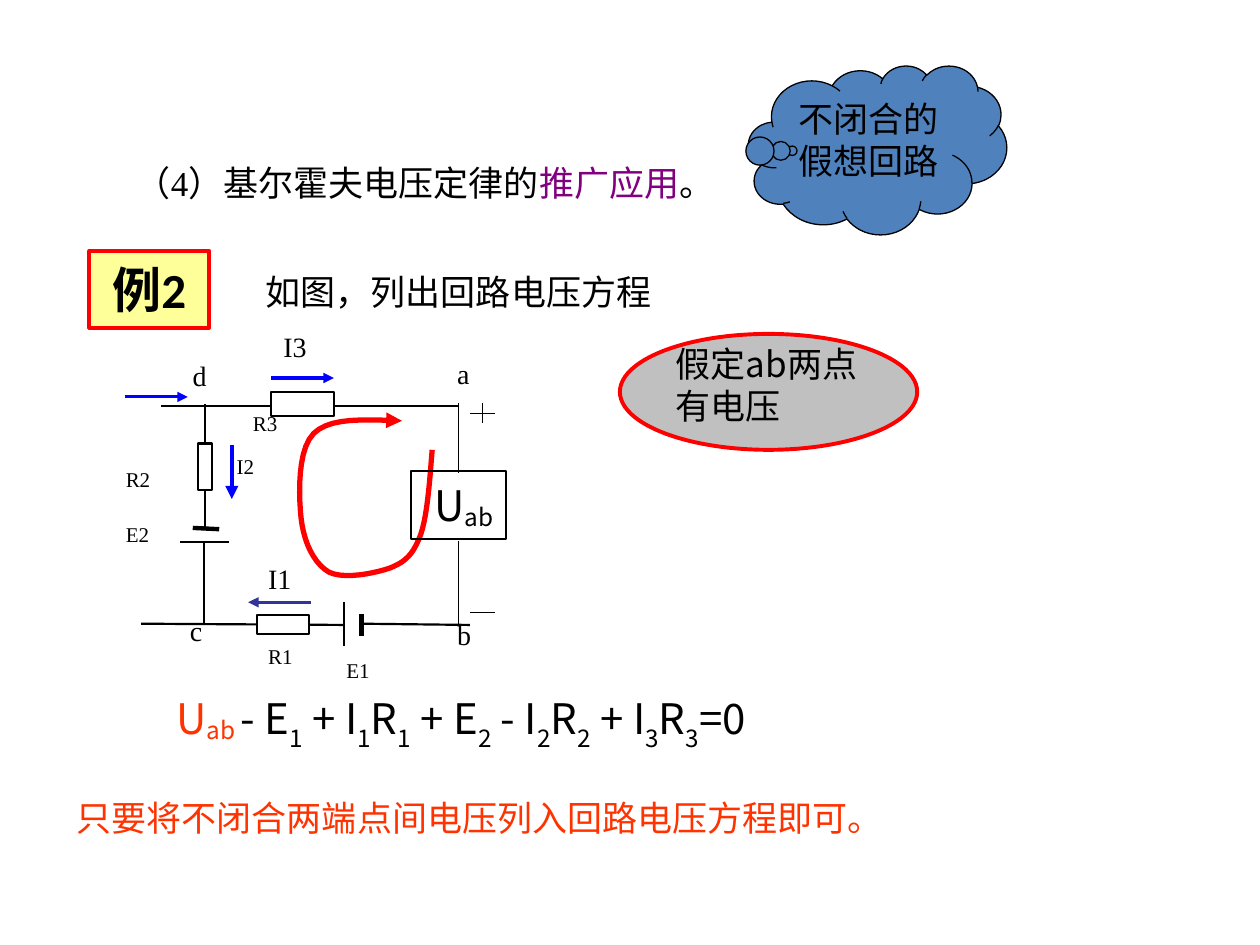
from dataclasses import dataclass

from lxml import etree
from pptx import Presentation
from pptx.dml.color import RGBColor
from pptx.enum import shapes, text
from pptx.oxml import ns
from pptx.util import Inches, Pt


@dataclass(frozen=True)
class Theme:
    black: str = "000000"
    white: str = "FFFFFF"
    red: str = "FF0000"
    orange: str = "FF3300"
    purple: str = "800080"
    blue: str = "0000FF"
    indigo: str = "333399"
    yellow: str = "FFFF99"
    cloud: str = "4F81BD"
    grey: str = "C0C0C0"
    serif: str = "Times New Roman"
    sans: str = "Noto Sans CJK SC"
    heading: str = "Calibri"
    badge: float = 28
    formula: float = 24
    body: float = 20
    node: float = 16
    component: float = 12
    thin: float = 0.75
    wire: float = 1.25
    arrow: float = 1.75
    thick: float = 2.5


T = Theme()
LEFT, CENTER = text.PP_ALIGN.LEFT, text.PP_ALIGN.CENTER
TOP, MIDDLE, BOTTOM = text.MSO_ANCHOR.TOP, text.MSO_ANCHOR.MIDDLE, text.MSO_ANCHOR.BOTTOM
SHAPE = shapes.MSO_SHAPE


def inches(values):
    return [Inches(v) for v in values]


def inside(box, item):
    """Move an item given relative to a box onto the slide."""
    return (box[0] + item[0], box[1] + item[1], *item[2:])


def write(shape, runs, size, font, align=LEFT, anchor=TOP, wrap=True, bold=False):
    """Fill a shape with one paragraph; each run is (words, colour, baseline %)."""
    frame = shape.text_frame
    layout = dict(word_wrap=wrap, vertical_anchor=anchor)
    for key, value in layout.items():
        setattr(frame, key, value)
    paragraph = frame.paragraphs[0]
    paragraph.alignment = align
    for words, colour, baseline in runs:
        run = paragraph.add_run()
        run.text = words
        for key, value in dict(size=Pt(size), name=font, bold=bold).items():
            setattr(run.font, key, value)
        run.font.color.rgb = RGBColor.from_string(colour)
        props = run._r.get_or_add_rPr()
        etree.SubElement(props, ns.qn("a:ea"), typeface=T.sans)
        if baseline:
            props.set("baseline", str(baseline * 1000))


def add_text(slide, box, runs, size, font, **layout):
    write(slide.shapes.add_textbox(*inches(box)), runs, size, font, **layout)


def paint(shape, fill, line, width):
    shape.shadow.inherit = False
    if fill:
        shape.fill.solid()
        shape.fill.fore_color.rgb = RGBColor.from_string(fill)
    else:
        shape.fill.background()
    shape.line.color.rgb = RGBColor.from_string(line)
    shape.line.width = Pt(width)


def add_block(slide, kind, box, fill, line, width):
    block = slide.shapes.add_shape(kind, *inches(box))
    paint(block, fill, line, width)
    return block


def point_arrow(shape):
    etree.SubElement(shape.line._get_or_add_ln(), ns.qn("a:tailEnd"), type="triangle")


def add_line(slide, box, ends, colour, width, arrow=False):
    start, end = inside(box, ends[:2]), inside(box, ends[2:])
    line = slide.shapes.add_connector(shapes.MSO_CONNECTOR.STRAIGHT, *inches(start + end))
    line.line.color.rgb = RGBColor.from_string(colour)
    line.line.width = Pt(width)
    if arrow:
        point_arrow(line)
    etree.SubElement(line._element.spPr, ns.qn("a:effectLst"))


def bezier(p0, p1, p2, p3, steps=10):
    for i in range(1, steps + 1):
        t = i / steps
        s = 1 - t
        yield tuple(s**3 * a + 3 * s * s * t * b + 3 * s * t * t * c + t**3 * d
                    for a, b, c, d in zip(p0, p1, p2, p3))


def draw_loop(slide, box):
    """Red arrow that shows the direction around the loop."""
    anchors = [(2.53, 1.07), (2.51, 1.33), (2.49, 1.59), (2.44, 1.74),
               (2.38, 1.9), (2.32, 1.96), (2.19, 2.01),
               (2.07, 2.05), (1.83, 2.1), (1.71, 2.04),
               (1.59, 1.97), (1.51, 1.8), (1.49, 1.61),
               (1.47, 1.43), (1.46, 1.07), (1.59, 0.94),
               (1.72, 0.81), (2, 0.83), (2.29, 0.84)]
    anchors = [inches(inside(box, a)) for a in anchors]
    curve = [p for i in range(0, len(anchors) - 1, 3) for p in bezier(*anchors[i:i + 4])]
    builder = slide.shapes.build_freeform(*anchors[0])
    builder.add_line_segments(curve, close=False)
    loop = builder.convert_to_shape()
    paint(loop, None, T.red, 3)
    point_arrow(loop)


def draw_circuit(slide, box):
    # Names of nodes, currents and components
    labels = {T.node: [("I1", 1.13, 1.91), ("I3", 1.25, 0.07), ("a", 2.63, 0.28),
                       ("d", 0.53, 0.3), ("c", 0.51, 2.32), ("b", 2.63, 2.35)],
              T.component: [("E2", 0, 1.59), ("R1", 1.13, 2.56), ("R3", 1.01, 0.71),
                            ("E1", 1.75, 2.67), ("R2", 0, 1.15), ("I2", 0.88, 1.05)]}
    for size, names in labels.items():
        for name, x, y in names:
            add_text(slide, inside(box, (x, y, 0.5, 0.43)), [(name, T.black, 0)], size, T.serif)

    # Wires, battery plates and polarity signs
    lines = {T.wire: [(0.38, 0.72, 2.74, 0.72), (0.73, 0.71, 0.73, 1.69),
                      (0.53, 1.8, 0.92, 1.8), (0.72, 1.8, 0.72, 2.45),
                      (0.22, 2.45, 1.83, 2.46), (1.83, 2.28, 1.83, 2.63),
                      (1.97, 2.45, 2.83, 2.46)],
             T.thick: [(0.63, 1.69, 0.84, 1.7), (1.97, 2.37, 1.97, 2.55)],
             T.thin: [(2.74, 0.7, 2.74, 1.25), (2.74, 1.79, 2.74, 2.47),
                      (2.83, 0.78, 3.03, 0.78), (2.93, 0.7, 2.93, 0.86),
                      (2.83, 2.36, 3.03, 2.36)]}
    for width, group in lines.items():
        for ends in group:
            add_line(slide, box, ends, T.black, width)

    # Resistors R3, R2, R1
    for resistor in [(1.25, 0.61, 0.5, 0.19), (0.67, 1.02, 0.11, 0.37), (1.14, 2.38, 0.41, 0.15)]:
        add_block(slide, SHAPE.RECTANGLE, inside(box, resistor), T.white, T.black, T.wire)

    # Current arrows
    for ends, colour, width in [((1.25, 0.5, 1.75, 0.5), T.blue, T.arrow),
                                ((0.09, 0.65, 0.59, 0.65), T.blue, T.arrow),
                                ((0.94, 1.03, 0.94, 1.46), T.blue, T.thick),
                                ((1.57, 2.28, 1.07, 2.28), T.indigo, 2)]:
        add_line(slide, box, ends, colour, width, arrow=True)
    draw_loop(slide, box)

    # Open voltage between a and b
    add_block(slide, SHAPE.RECTANGLE, inside(box, (2.36, 1.24, 0.76, 0.54)), None, T.black, T.wire)
    add_text(slide, inside(box, (2.45, 1.26, 0.77, 0.51)),
             [("U", T.black, 0), ("ab", T.black, -10)], T.formula, T.sans)


def draw_heading(slide, box):
    add_text(slide, inside(box, (0.27, 0, 5.2, 0.77)),
             [("（4）基尔霍夫电压定律的", T.black, 0), ("推广应用", T.purple, 0), ("。", T.black, 0)],
             T.body, T.serif)
    badge = add_block(slide, SHAPE.RECTANGLE, inside(box, (0, 0.76, 0.95, 0.61)),
                      T.yellow, T.red, 2.25)
    write(badge, [("例2", T.black, 0)], T.badge, T.heading, CENTER, MIDDLE, bold=True)
    add_text(slide, inside(box, (1.3, 0.87, 3.31, 0.44)),
             [("如图，列出回路电压方程", T.black, 0)], T.body, T.serif)


def draw_equation(slide, box):
    runs = [("U", T.orange, 0), ("ab ", T.orange, -10)]
    for symbol, index in [("- E", 1), (" + I", 1), ("R", 1), (" + E", 2), (" - I", 2),
                          ("R", 2), (" + I", 3), ("R", 3)]:
        runs += [(symbol, T.black, 0), (str(index), T.black, -30)]
    add_text(slide, box, runs + [("=0", T.black, 0)], T.formula, T.sans,
             anchor=MIDDLE, wrap=False)


def draw_cloud(slide, box):
    cloud = add_block(slide, SHAPE.CLOUD_CALLOUT, box, T.cloud, T.black, T.thin)
    for i, value in enumerate((-0.33, 0.005)):
        cloud.adjustments[i] = value
    write(cloud, [("不闭合的假想回路", T.black, 0)], T.body, T.sans, CENTER)


def draw_assumption(slide, box):
    oval = add_block(slide, SHAPE.OVAL, box, T.grey, T.red, 2.25)
    write(oval, [("假定ab两点 有电压", T.black, 0)], T.body, T.sans, anchor=BOTTOM)


def main():
    prs = Presentation()
    prs.slide_width, prs.slide_height = inches((10, 7.5))
    slide = prs.slides.add_slide(prs.slide_layouts[6])
    draw_heading(slide, (0.71, 1.23))
    draw_circuit(slide, (0.9, 2.5))
    draw_equation(slide, (1.3, 5.45, 4.92, 0.57))
    add_text(slide, (0.51, 6.27, 6.6, 0.44),
             [("只要将不闭合两端点间电压列入回路电压方程即可。", T.orange, 0)],
             T.body, T.serif, wrap=False)
    draw_cloud(slide, (5.94, 0.52, 2.05, 1.34))
    draw_assumption(slide, (4.92, 2.65, 2.36, 0.92))
    prs.save("out.pptx")


if __name__ == "__main__":
    main()
